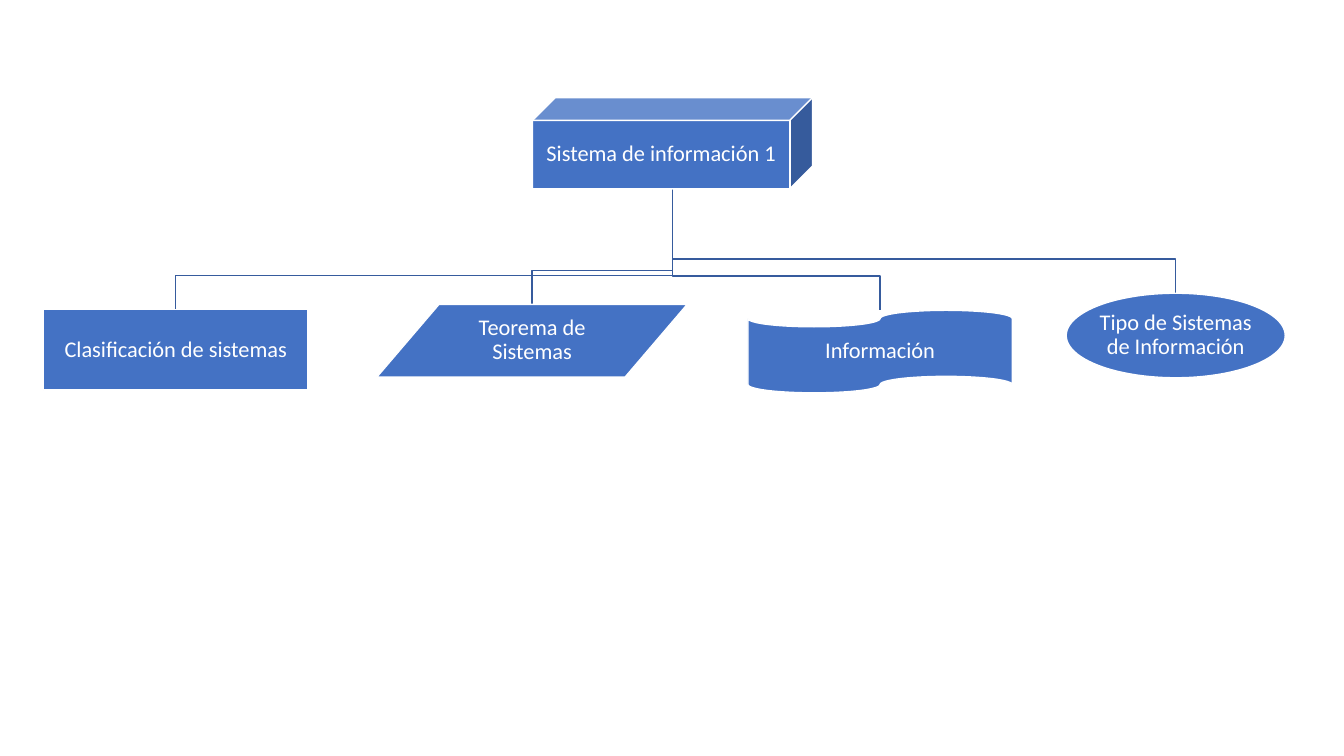
import pptx
import pptx.dml.color
import pptx.enum.shapes
import pptx.enum.text
import pptx.util

Cm = pptx.util.Cm
Pt = pptx.util.Pt
Shape = pptx.enum.shapes.MSO_SHAPE

NODE_FILL = "4472C4"
BRANCH_LINE = "365B9D"
WHITE = "FFFFFF"
BRANCH_DROP = 0.86

ROOT = ("Sistema de información 1", Shape.CUBE, (12.32, 0, 7.06, 2.3))
CHILDREN = [
    ("Clasificación de sistemas", Shape.RECTANGLE, (0, 5.34, 6.66, 2.03)),
    ("Teorema de Sistemas", Shape.FLOWCHART_DATA, (8.4, 5.21, 7.82, 1.83)),
    ("Información", Shape.FLOWCHART_PUNCHED_TAPE, (17.75, 5.36, 6.66, 2.08)),
    ("Tipo de Sistemas de Información", Shape.OVAL, (25.77, 4.93, 5.52, 2.13)),
]


def color(hex_value):
    """Return the RGB colour for a hex string."""
    return pptx.dml.color.RGBColor.from_string(hex_value)


def write_text(shape, text, font="Calibri", size=16, text_color=WHITE, inset=0.03):
    """Write centred, wrapped text inside a shape."""
    frame = shape.text_frame
    frame.word_wrap = True
    frame.vertical_anchor = pptx.enum.text.MSO_ANCHOR.MIDDLE
    frame.margin_left = frame.margin_right = Cm(inset)
    frame.margin_top = frame.margin_bottom = Cm(inset)
    paragraph = frame.paragraphs[0]
    paragraph.alignment = pptx.enum.text.PP_ALIGN.CENTER
    paragraph.line_spacing = 0.9
    run = paragraph.add_run()
    run.text = text
    run.font.name = font
    run.font.size = Pt(size)
    run.font.color.rgb = color(text_color)


def set_outline(shape, line_color):
    """Give a shape a thin outline and no shadow."""
    shape.shadow.inherit = False
    shape.line.color.rgb = color(line_color)
    shape.line.width = Pt(1)


def draw_node(slide, text, kind, box):
    """Draw one labelled node filling its box."""
    shape = slide.shapes.add_shape(kind, *(Cm(length) for length in box))
    shape.fill.solid()
    shape.fill.fore_color.rgb = color(NODE_FILL)
    set_outline(shape, WHITE)
    write_text(shape, text)


def draw_branch(slide, parent_box, child_box):
    """Draw an elbow from the parent's bottom centre to the child's top centre."""
    parent_left, parent_top, parent_width, parent_height = parent_box
    child_left, child_top, child_width, _ = child_box
    start_x = Cm(parent_left + parent_width / 2)
    start_y = Cm(parent_top + parent_height)
    end_x = Cm(child_left + child_width / 2)
    end_y = Cm(child_top)
    bend_y = Cm(child_top - BRANCH_DROP)
    builder = slide.shapes.build_freeform(start_x, start_y)
    builder.add_line_segments(
        [(start_x, bend_y), (end_x, bend_y), (end_x, end_y)], close=False
    )
    branch = builder.convert_to_shape()
    branch.fill.background()
    set_outline(branch, BRANCH_LINE)


def draw_hierarchy(slide, left, top):
    """Draw the root, its children and their branches from a top-left corner."""
    nodes = [
        (text, kind, (left + x, top + y, width, height))
        for text, kind, (x, y, width, height) in [ROOT, *CHILDREN]
    ]
    root_box = nodes[0][2]
    for _, _, child_box in reversed(nodes[1:]):
        draw_branch(slide, root_box, child_box)
    for text, kind, box in nodes:
        draw_node(slide, text, kind, box)


def main():
    """Build and save the presentation."""
    presentation = pptx.Presentation()
    presentation.slide_width = Cm(33.87)
    presentation.slide_height = Cm(19.05)
    slide = presentation.slides.add_slide(presentation.slide_layouts[6])
    draw_hierarchy(slide, left=1.1, top=2.46)
    presentation.save("out.pptx")


if __name__ == "__main__":
    main()
